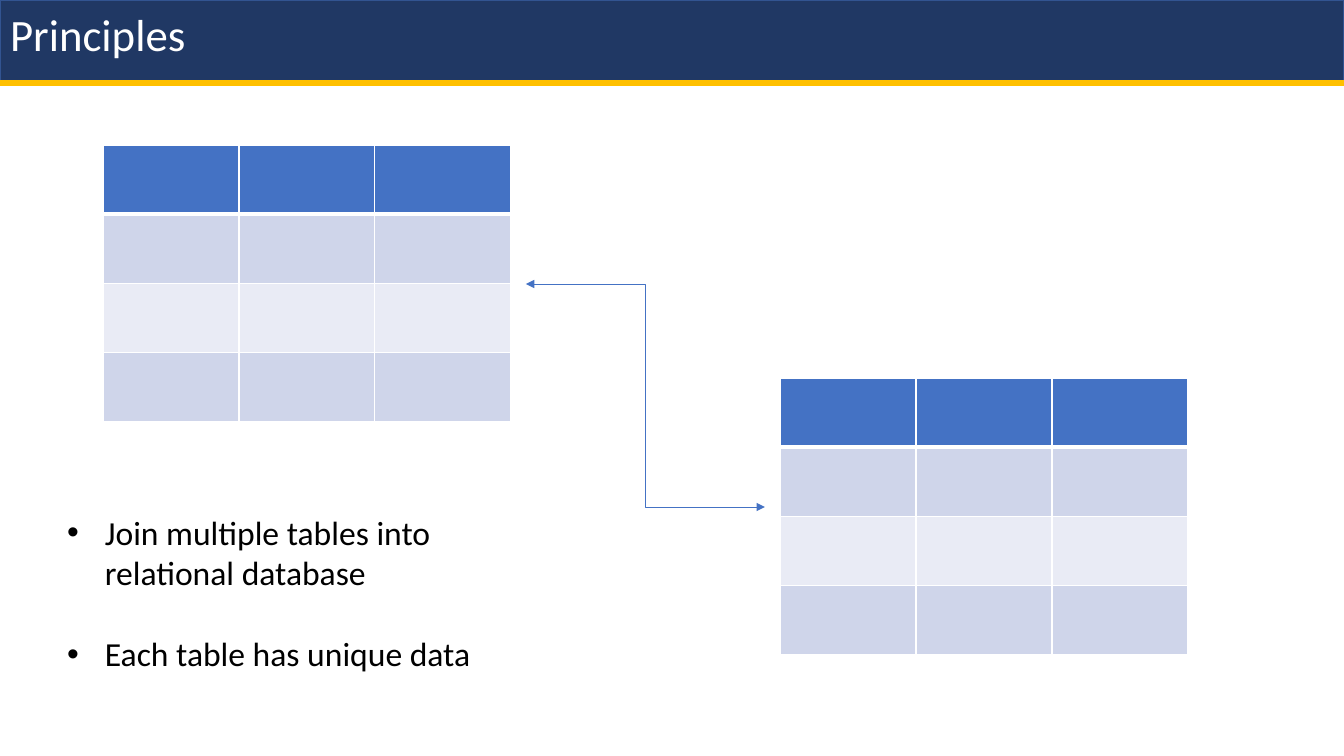
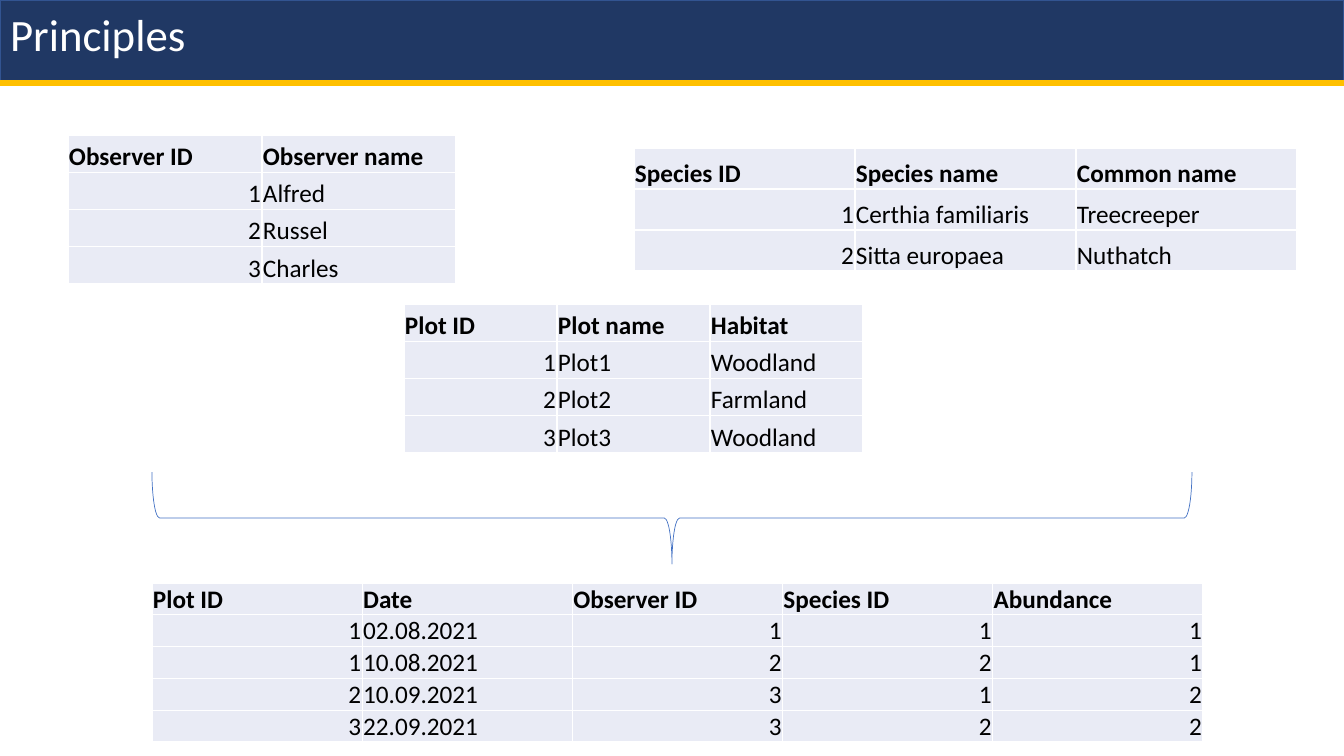
from dataclasses import dataclass

from lxml import etree
from pptx import Presentation
from pptx import util as u
from pptx.dml.color import RGBColor
from pptx.enum import shapes, text
from pptx.oxml.ns import qn

EMU_PER_PX = 914400 / 100.8
SLIDE_WIDTH, SLIDE_HEIGHT = 1344, 756
TITLE_AND_BODY, TITLE_ONLY = 1, 5


@dataclass(frozen=True)
class Theme:
    font: str = "Calibri"
    title_size: int = 32
    body_size: int = 24
    table_size: int = 18
    navy: str = "203864"
    navy_edge: str = "325491"
    gold: str = "FFC000"
    blue: str = "4472C4"
    band_dark: str = "CFD5EA"
    band_light: str = "E9EBF5"
    white: str = "FFFFFF"
    black: str = "000000"


THEME = Theme()


def px(length):
    return u.Emu(round(length * EMU_PER_PX))


def box(*lengths):
    return [px(length) for length in lengths]


def color(value):
    return RGBColor.from_string(value)


def write(frame, *lines, size, ink=THEME.black, bold=False,
          align=text.PP_ALIGN.LEFT, gap=0, line_spacing=None):
    """Fill a text frame, one paragraph a line, with gap points between them."""
    for index, line in enumerate(lines):
        paragraph = frame.add_paragraph() if index else frame.paragraphs[0]
        paragraph.alignment = align
        paragraph.space_before = u.Pt(gap if index else 0)
        if line_spacing:
            paragraph.line_spacing = line_spacing
        run = paragraph.add_run()
        run.text = line
        run.font.name = THEME.font
        run.font.size = u.Pt(size)
        run.font.bold = bold
        run.font.color.rgb = color(ink)


def border(cell, side, width):
    """Draw one white edge (L, R, T or B); call it before the cell is filled."""
    properties = cell._tc.get_or_add_tcPr()
    line = etree.SubElement(properties, qn(f"a:ln{side}"), w=str(u.Pt(width)))
    fill = etree.SubElement(line, qn("a:solidFill"))
    etree.SubElement(fill, qn("a:srgbClr"), val=THEME.white)


class Deck:
    def __init__(self, theme):
        self.theme = theme
        self.presentation = Presentation()
        self.presentation.slide_width = px(SLIDE_WIDTH)
        self.presentation.slide_height = px(SLIDE_HEIGHT)
        self.slide = None

    def add_slide(self, layout, title):
        layouts = self.presentation.slide_layouts
        self.slide = self.presentation.slides.add_slide(layouts[layout])
        self.title(title)
        band = self.shape(shapes.MSO_SHAPE.RECTANGLE, 0, 0, SLIDE_WIDTH, 84,
                          fill=self.theme.navy, line=self.theme.navy_edge, weight=1)
        self.slide.shapes._spTree.insert(2, band._element)  # behind the title
        self.connector(shapes.MSO_CONNECTOR.STRAIGHT, 0, 83, SLIDE_WIDTH, 83,
                       line=self.theme.gold, weight=4.5)

    def placeholder(self, shape, left, top, width, height, anchor):
        shape.left, shape.top, shape.width, shape.height = box(left, top, width, height)
        frame = shape.text_frame
        frame.auto_size = text.MSO_AUTO_SIZE.NONE
        frame.word_wrap = True
        frame.vertical_anchor = anchor
        return frame

    def title(self, wording):
        frame = self.placeholder(self.slide.shapes.title, 0, 0, 1397, 66,
                                 text.MSO_ANCHOR.BOTTOM)
        write(frame, wording, size=self.theme.title_size, ink=self.theme.white,
              line_spacing=0.9)

    def bullets(self, left, top, width, height, *lines):
        """Fill the body placeholder, a line's height between the points."""
        frame = self.placeholder(self.slide.placeholders[1], left, top, width, height,
                                 text.MSO_ANCHOR.TOP)
        write(frame, *lines, size=self.theme.body_size, gap=29)

    def shape(self, kind, left, top, width, height, fill=None, line=None,
              weight=0.5, rotation=0):
        shape = self.slide.shapes.add_shape(kind, *box(left, top, width, height))
        shape.shadow.inherit = False
        shape.rotation = rotation
        if fill:
            shape.fill.solid()
            shape.fill.fore_color.rgb = color(fill)
        else:
            shape.fill.background()
        shape.line.color.rgb = color(line)
        shape.line.width = u.Pt(weight)
        return shape

    def connector(self, kind, x1, y1, x2, y2, line, weight=0.5, arrows=False):
        connector = self.slide.shapes.add_connector(kind, *box(x1, y1, x2, y2))
        connector.line.color.rgb = color(line)
        connector.line.width = u.Pt(weight)
        if arrows:
            for end in ("a:headEnd", "a:tailEnd"):
                etree.SubElement(connector.line._get_or_add_ln(), qn(end), type="triangle")
        etree.SubElement(connector._element.spPr, qn("a:effectLst"))

    def grid(self, left, top, width, height, rows, columns, row_fills, header_rule=1):
        """Add an even table with white rules, header_rule points under row one."""
        table = self.slide.shapes.add_table(
            rows, columns, *box(left, top, width, height)).table
        table.first_row = table.horz_banding = False
        for column in table.columns:
            column.width = px(width / columns)
        for index, row in enumerate(table.rows):
            row.height = px(height / rows)
            for cell in row.cells:
                border(cell, "L", 1)
                border(cell, "R", 1)
                border(cell, "T", header_rule if index == 1 else 1)
                border(cell, "B", header_rule if index == 0 else 1)
                cell.fill.solid()
                cell.fill.fore_color.rgb = color(row_fills[index])
        return table

    def empty_table(self, left, top):
        theme = self.theme
        fills = [theme.blue, theme.band_dark, theme.band_light, theme.band_dark]
        self.grid(left, top, 408, 277, 4, 3, fills, header_rule=3)

    def data_table(self, left, top, width, height, records):
        """Add a table with a bold first row and numbers set to the right."""
        table = self.grid(left, top, width, height, len(records), len(records[0]),
                          [self.theme.band_light] * len(records))
        for row, record in enumerate(records):
            for column, value in enumerate(record):
                cell = table.cell(row, column)
                cell.margin_left = cell.margin_right = cell.margin_top = px(1)
                cell.margin_bottom = 0
                cell.vertical_anchor = text.MSO_ANCHOR.BOTTOM
                align = text.PP_ALIGN.RIGHT if value.isdigit() else text.PP_ALIGN.LEFT
                write(cell.text_frame, value, size=self.theme.table_size,
                      bold=row == 0, align=align)


OBSERVERS = [
    ("Observer ID", "Observer name"),
    ("1", "Alfred"),
    ("2", "Russel"),
    ("3", "Charles"),
]
SPECIES = [
    ("Species ID", "Species name", "Common name"),
    ("1", "Certhia familiaris", "Treecreeper"),
    ("2", "Sitta europaea", "Nuthatch"),
]
PLOTS = [
    ("Plot ID", "Plot name", "Habitat"),
    ("1", "Plot1", "Woodland"),
    ("2", "Plot2", "Farmland"),
    ("3", "Plot3", "Woodland"),
]
SIGHTINGS = [
    ("Plot ID", "Date", "Observer ID", "Species ID", "Abundance"),
    ("1", "02.08.2021", "1", "1", "1"),
    ("1", "10.08.2021", "2", "2", "1"),
    ("2", "10.09.2021", "3", "1", "2"),
    ("3", "22.09.2021", "3", "2", "2"),
]


def add_joined_tables(deck):
    deck.add_slide(TITLE_AND_BODY, "Principles")
    deck.empty_table(103, 145)
    deck.connector(shapes.MSO_CONNECTOR.ELBOW, 526, 284, 765, 507,
                   line=deck.theme.blue, arrows=True)
    deck.empty_table(780, 378)
    deck.bullets(57, 507, 469, 173,
                 "Join multiple tables into relational database",
                 "Each table has unique data")


def add_example_tables(deck):
    deck.add_slide(TITLE_ONLY, "Principles")
    deck.data_table(68, 135, 388, 149, OBSERVERS)
    deck.data_table(634, 148, 663, 123, SPECIES)
    deck.data_table(404, 304, 459, 149, PLOTS)
    deck.shape(shapes.MSO_SHAPE.LEFT_BRACE, 626, -2, 92, 1040,
               line=deck.theme.blue, rotation=270)
    deck.data_table(152, 583, 1051, 158, SIGHTINGS)


def main():
    deck = Deck(THEME)
    add_joined_tables(deck)
    add_example_tables(deck)
    deck.presentation.save("out.pptx")


if __name__ == "__main__":
    main()
